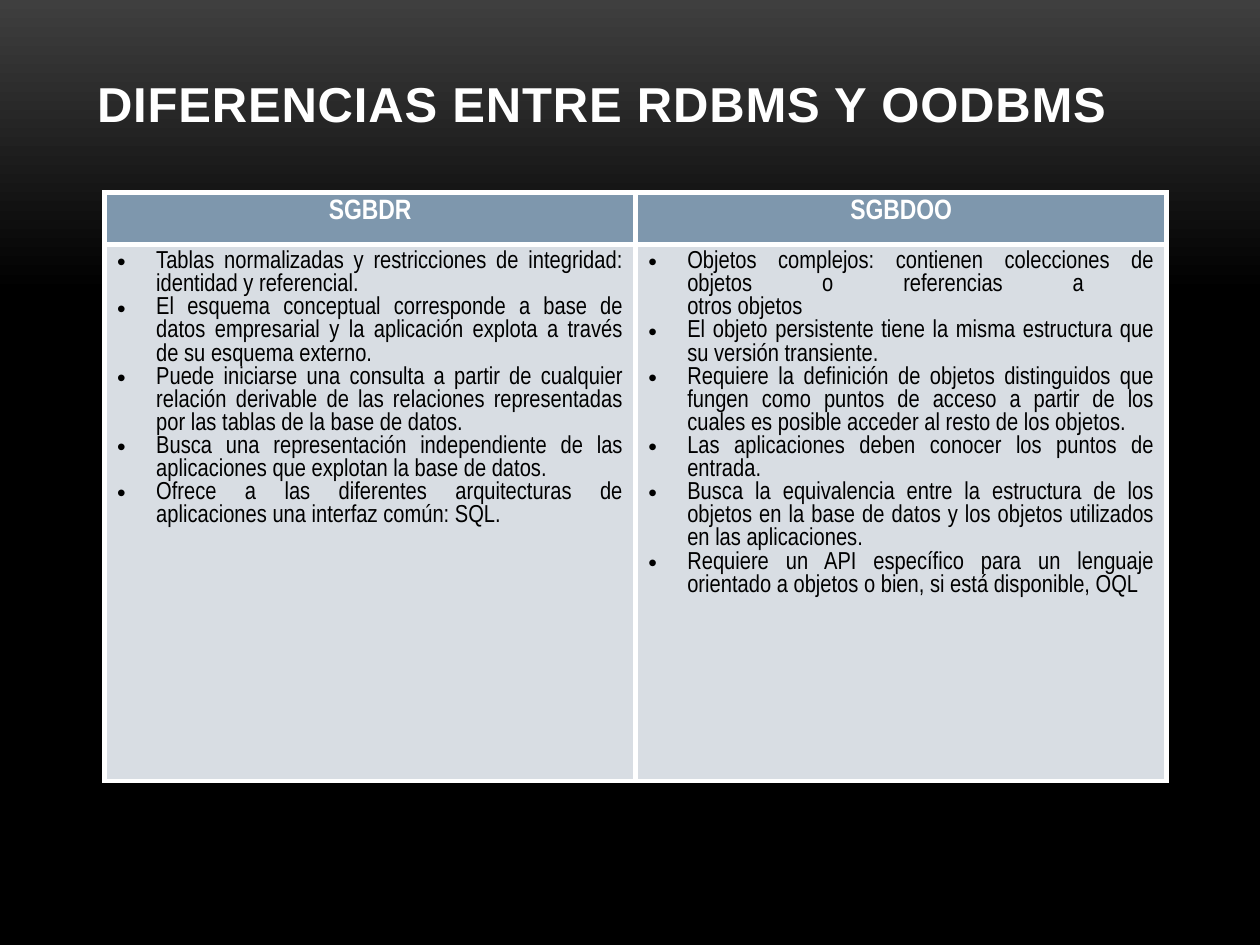
from copy import deepcopy
from dataclasses import dataclass

from lxml.etree import SubElement
from pptx import Presentation
from pptx.dml.color import RGBColor
from pptx.enum.text import MSO_ANCHOR, MSO_AUTO_SIZE, PP_ALIGN
from pptx.oxml.ns import qn
from pptx.util import Inches, Pt

COLORS = {
    "white": "FFFFFF",
    "black": "000000",
    "background_top": "3F3F3F",
    "header": "7E97AD",
    "body": "D8DDE3",
}
BODY_FONT = "Arial Narrow"
BULLET_INDENT = Inches(0.31)


@dataclass(frozen=True)
class TextStyle:
    font: str
    size: int
    color: str
    bold: bool = False


@dataclass(frozen=True)
class Column:
    heading: str
    points: tuple[str, ...]


TITLE_STYLE = TextStyle("Arial", 28, "white", True)
HEADER_STYLE = TextStyle(BODY_FONT, 16, "white", True)
POINT_STYLE = TextStyle(BODY_FONT, 14, "black")

COLUMNS = (
    Column("SGBDR", (
        "Tablas normalizadas y restricciones de integridad: identidad y referencial.",
        "El esquema conceptual corresponde a base de datos empresarial y la "
        "aplicación explota a través de su esquema externo.",
        "Puede iniciarse una consulta a partir de cualquier relación derivable de "
        "las relaciones representadas por las tablas de la base de datos. ",
        "Busca una representación independiente de las aplicaciones que explotan "
        "la base de datos.",
        "Ofrece a las diferentes arquitecturas de aplicaciones una interfaz común: SQL.",
    )),
    Column("SGBDOO", (
        "Objetos complejos: contienen colecciones de objetos o referencias a \n"
        "otros objetos ",
        "El objeto persistente tiene la misma estructura que su versión transiente.",
        "Requiere la definición de objetos distinguidos que fungen como puntos de "
        "acceso a partir de los cuales es posible acceder al resto de los objetos.",
        "Las aplicaciones deben conocer los puntos de entrada. ",
        "Busca la equivalencia entre la estructura de los objetos en la base de "
        "datos y los objetos utilizados en las aplicaciones. ",
        "Requiere un API específico para un lenguaje orientado a objetos o bien, "
        "si está disponible, OQL ",
    )),
)


def rgb(name: str) -> RGBColor:
    return RGBColor.from_string(COLORS[name])


def add_text(paragraph, text: str, style: TextStyle, alignment: PP_ALIGN) -> None:
    """Add one run per line; each line break takes the format of the run before it."""
    paragraph.alignment = alignment
    for index, line in enumerate(text.split("\n")):
        if index:
            paragraph.add_line_break()
            line_break = paragraph._p.findall(qn("a:br"))[-1]
            line_break.append(deepcopy(run._r.rPr))
        run = paragraph.add_run()
        run.text = line
        run.font.name = style.font
        run.font.size = Pt(style.size)
        run.font.bold = style.bold
        run.font.color.rgb = rgb(style.color)


def add_bullet(paragraph) -> None:
    properties = paragraph._p.get_or_add_pPr()
    properties.set("marL", str(BULLET_INDENT))
    properties.set("indent", str(-BULLET_INDENT))
    SubElement(properties, qn("a:buFont"), typeface="Arial")
    SubElement(properties, qn("a:buChar"), char="•")


def format_cell(cell, fill: str) -> None:
    """Draw white borders on all four sides, then fill the cell."""
    properties = cell._tc.get_or_add_tcPr()
    for side in ("lnL", "lnR", "lnT", "lnB"):
        border = SubElement(properties, qn(f"a:{side}"), w=str(Pt(3)))
        border_fill = SubElement(border, qn("a:solidFill"))
        SubElement(border_fill, qn("a:srgbClr"), val=COLORS["white"])
    cell.fill.solid()
    cell.fill.fore_color.rgb = rgb(fill)


def set_background(slide) -> None:
    fill = slide.background.fill
    fill.gradient()
    fill.gradient_angle = 270
    stops = ((0, "background_top"), (0.31, "black"))
    for stop, (position, color) in zip(fill.gradient_stops, stops):
        stop.position = position
        stop.color.rgb = rgb(color)


def set_title(slide) -> None:
    title = slide.shapes.title
    title.left, title.top = Inches(0.67), Inches(0.3)
    title.width, title.height = Inches(8.67), Inches(1.25)
    frame = title.text_frame
    frame.auto_size = MSO_AUTO_SIZE.NONE
    frame.vertical_anchor = MSO_ANCHOR.BOTTOM
    frame.margin_bottom = Inches(0.5)
    paragraph = frame.paragraphs[0]
    add_text(paragraph, "DIFERENCIAS ENTRE RDBMS Y OODBMS", TITLE_STYLE, PP_ALIGN.LEFT)
    paragraph.runs[0].font._element.set("spc", "50")


def add_comparison_table(slide, columns: tuple[Column, ...]) -> None:
    table = slide.shapes.add_table(
        2, len(columns), Inches(0.83), Inches(1.53), Inches(8.43), Inches(4.67)
    ).table
    table.horz_banding = False
    for row, height in zip(table.rows, (0.41, 4.26)):
        row.height = Inches(height)
    for index, column in enumerate(columns):
        header, body = table.cell(0, index), table.cell(1, index)
        format_cell(header, "header")
        format_cell(body, "body")
        add_text(header.text_frame.paragraphs[0], column.heading,
                 HEADER_STYLE, PP_ALIGN.CENTER)
        frame = body.text_frame
        for number, point in enumerate(column.points):
            paragraph = frame.add_paragraph() if number else frame.paragraphs[0]
            add_text(paragraph, point, POINT_STYLE, PP_ALIGN.JUSTIFY)
            add_bullet(paragraph)


def main() -> None:
    presentation = Presentation()
    presentation.slide_width = Inches(10)
    presentation.slide_height = Inches(7.5)
    slide = presentation.slides.add_slide(presentation.slide_layouts[5])
    set_background(slide)
    set_title(slide)
    add_comparison_table(slide, COLUMNS)
    presentation.save("out.pptx")


if __name__ == "__main__":
    main()
